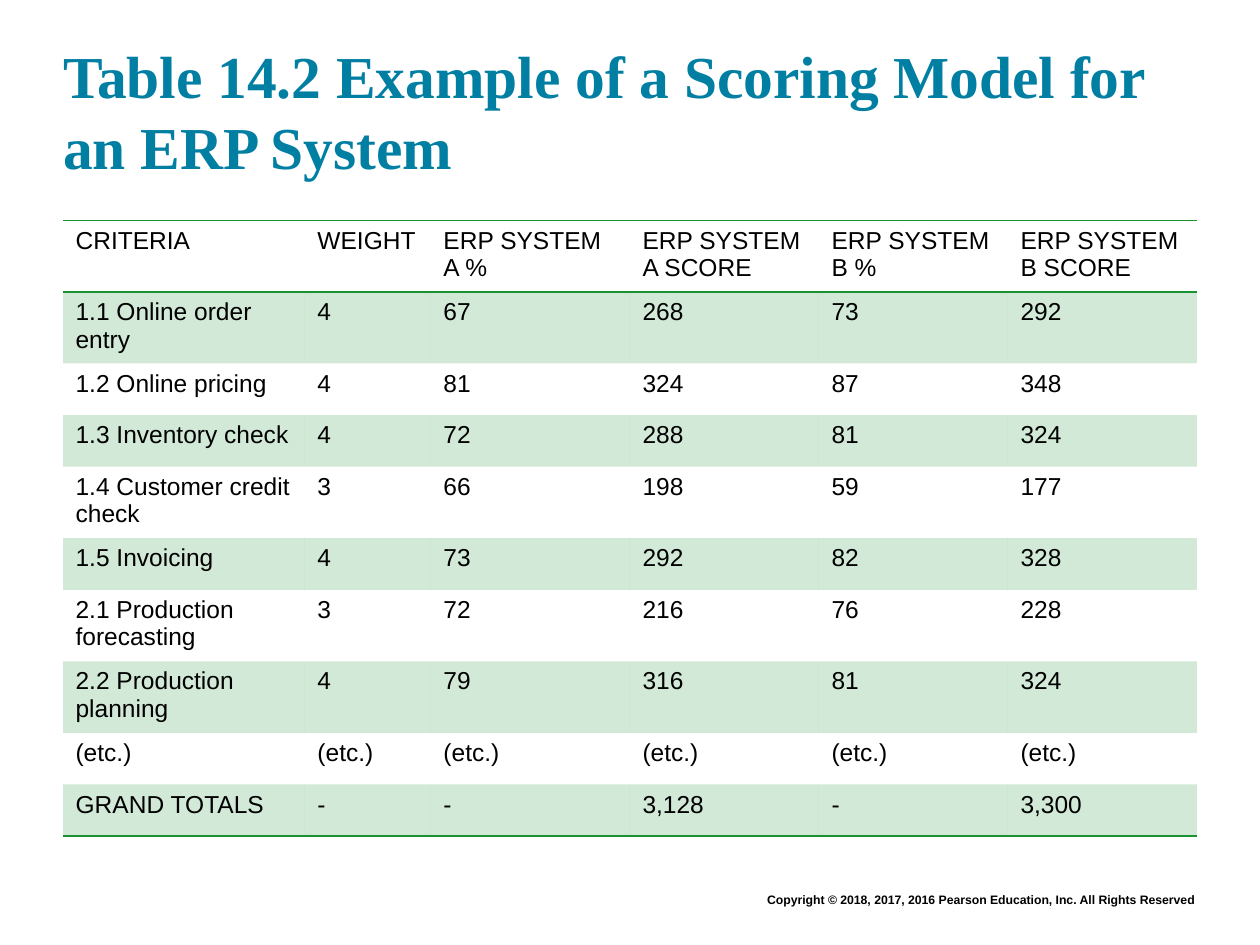
from lxml.etree import SubElement
from pptx import Presentation
from pptx.dml.color import RGBColor
from pptx.enum.text import MSO_ANCHOR as Anchor, MSO_AUTO_SIZE as AutoSize, PP_ALIGN as Align
from pptx.oxml.ns import qn
from pptx.util import Inches, Pt

COLORS = {"title": "007FA3", "text": "000000", "green": "1B9332"}
COLUMN_WIDTHS = [1.92, 1, 1.58, 1.5, 1.5, 1.5]
ROW_HEIGHT = 0.41
SCORES = [
    ["CRITERIA", "WEIGHT", "ERP SYSTEM\nA %", "ERP SYSTEM\nA SCORE",
     "ERP SYSTEM\nB %", "ERP SYSTEM\nB SCORE"],
    ["1.1 Online order entry", "4", "67", "268", "73", "292"],
    ["1.2 Online pricing", "4", "81", "324", "87", "348"],
    ["1.3 Inventory check", "4", "72", "288", "81", "324"],
    ["1.4 Customer credit check", "3", "66", "198", "59", "177"],
    ["1.5 Invoicing", "4", "73", "292", "82", "328"],
    ["2.1 Production forecasting", "3", "72", "216", "76", "228"],
    ["2.2 Production planning", "4", "79", "316", "81", "324"],
    ["(etc.)"] * 6,
    ["GRAND TOTALS", "-", "-", "3,128", "-", "3,300"],
]


def write(frame, text, size=14, font="Arial", color="text", bold=False,
          align=Align.LEFT, line_spacing=None):
    frame.word_wrap = True
    frame.text = text
    for paragraph in frame.paragraphs:
        paragraph.alignment = align
        paragraph.line_spacing = line_spacing
        for run in paragraph.runs:
            run.font.name = font
            run.font.size = Pt(size)
            run.font.bold = bold
            run.font.color.rgb = RGBColor.from_string(COLORS[color])


def add_solid_fill(parent, color, alpha=100):
    fill = SubElement(parent, qn("a:solidFill"))
    rgb = SubElement(fill, qn("a:srgbClr"), val=COLORS[color])
    if alpha < 100:
        SubElement(rgb, qn("a:alpha"), val=str(alpha * 1000))


def style_cell(cell, ruled_sides, shaded):
    """Draw rules on the given sides (T, B) and a pale band if shaded."""
    properties = cell._tc.get_or_add_tcPr()
    for side in "LRTB":
        ruled = side in ruled_sides
        line = SubElement(properties, qn(f"a:ln{side}"), w=str(Pt(1) if ruled else 0))
        if ruled:
            add_solid_fill(line, "green")
        else:
            SubElement(line, qn("a:noFill"))
    if shaded:
        add_solid_fill(properties, "green", alpha=20)
    else:
        cell.fill.background()


def set_title(slide, text):
    title = slide.shapes.title
    title.left, title.top = Inches(0.5), Inches(0.24)
    title.width, title.height = Inches(9), Inches(1.2)
    frame = title.text_frame
    frame.margin_left = frame.margin_right = frame.margin_top = frame.margin_bottom = 0
    frame.vertical_anchor = Anchor.BOTTOM
    frame.auto_size = AutoSize.NONE
    write(frame, text, size=34, font="Times New Roman", color="title", bold=True)


def add_score_table(slide):
    table = slide.shapes.add_table(
        len(SCORES), len(COLUMN_WIDTHS), Inches(0.5), Inches(1.75),
        Inches(sum(COLUMN_WIDTHS)), Inches(ROW_HEIGHT * len(SCORES))).table
    for column, width in zip(table.columns, COLUMN_WIDTHS):
        column.width = Inches(width)
    last = len(SCORES) - 1
    for row, values in enumerate(SCORES):
        # The header's lower rule is also the first body row's upper rule.
        sides = {0: "TB", 1: "T", last: "B"}.get(row, "")
        for column, value in enumerate(values):
            cell = table.cell(row, column)
            write(cell.text_frame, value)
            style_cell(cell, sides, shaded=row % 2 == 1)


def add_copyright(slide, text):
    box = slide.shapes.add_textbox(Inches(1.75), Inches(7.03), Inches(7.83), Inches(0.22))
    write(box.text_frame, text, size=7, bold=True, align=Align.RIGHT)


def main():
    deck = Presentation()
    deck.slide_width, deck.slide_height = Inches(10), Inches(7.5)
    slide = deck.slides.add_slide(deck.slide_layouts.get_by_name("Title Only"))
    add_copyright(slide, "Copyright © 2018, 2017, 2016 Pearson Education, Inc. "
                         "All Rights Reserved")
    set_title(slide, "Table 14.2 Example of a Scoring Model for an ERP System")
    add_score_table(slide)
    deck.save("out.pptx")


if __name__ == "__main__":
    main()
